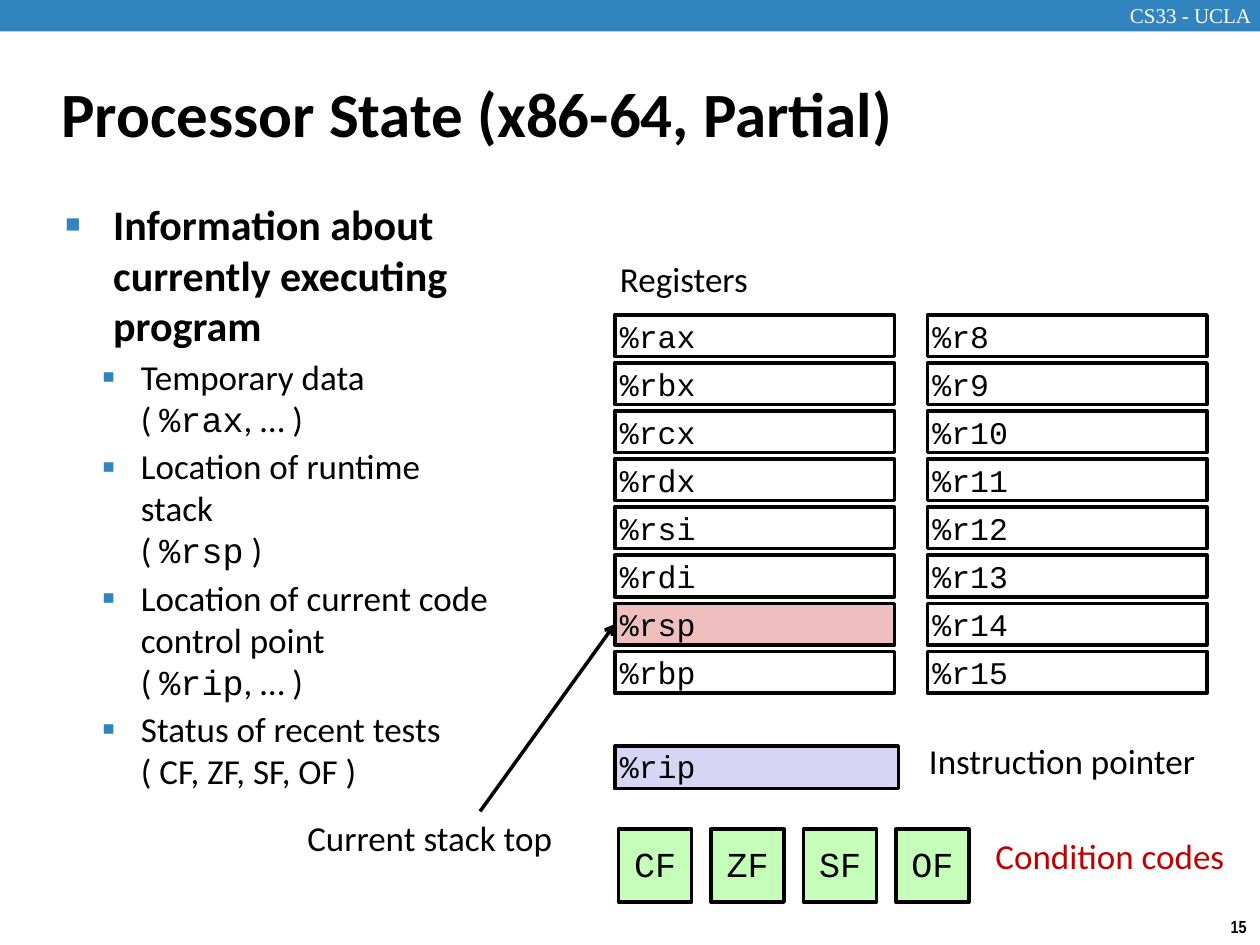
from dataclasses import dataclass

from lxml import etree
from pptx import Presentation
from pptx.dml.color import RGBColor
from pptx.enum.shapes import MSO_CONNECTOR, MSO_SHAPE
from pptx.enum.text import MSO_ANCHOR, PP_ALIGN
from pptx.oxml.ns import qn
from pptx.util import Inches, Pt

LEFT, CENTER = PP_ALIGN.LEFT, PP_ALIGN.CENTER
TOP, MIDDLE = MSO_ANCHOR.TOP, MSO_ANCHOR.MIDDLE
RECT, STRAIGHT = MSO_SHAPE.RECTANGLE, MSO_CONNECTOR.STRAIGHT

SANS, MONO = "Calibri", "Courier New"
COLORS = {
    "black": "000000", "white": "FFFFFF", "blue": "3284BF", "red": "C00000",
    "pink": "EFBFBF", "lilac": "D6D6F4", "green": "C5FEB8",
}
PAD = 0.04


@dataclass
class Label:
    text: str
    x: float
    y: float
    w: float
    h: float
    size: int = 20
    font: str = SANS
    color: str = "black"
    bold: bool = False
    align: PP_ALIGN = LEFT
    anchor: MSO_ANCHOR = TOP
    pad: tuple = (PAD, PAD)


@dataclass
class Cell:
    text: str
    x: float
    y: float
    w: float = 2.22
    h: float = 0.33
    fill: str = ""
    size: int = 18
    align: PP_ALIGN = LEFT
    space: float = 1.0


@dataclass
class Item:
    head: str
    bits: tuple  # (text, font) pairs on the line below the head


def rgb(name: str) -> RGBColor:
    return RGBColor.from_string(COLORS[name])


def set_pad(frame, across: float, down: float) -> None:
    frame.margin_left = frame.margin_right = Inches(across)
    frame.margin_top = frame.margin_bottom = Inches(down)


def set_font(para, size: int, font: str, color: str = "black", bold: bool = False) -> None:
    para.font.size = Pt(size)
    para.font.name = font
    para.font.bold = bold
    para.font.color.rgb = rgb(color)


def add_label(slide, label: Label) -> None:
    box = slide.shapes.add_textbox(
        Inches(label.x), Inches(label.y), Inches(label.w), Inches(label.h))
    frame = box.text_frame
    frame.word_wrap = False
    frame.vertical_anchor = label.anchor
    set_pad(frame, *label.pad)
    para = frame.paragraphs[0]
    para.text = label.text
    para.alignment = label.align
    set_font(para, label.size, label.font, label.color, label.bold)


def add_cell(slide, cell: Cell):
    box = slide.shapes.add_shape(
        RECT, Inches(cell.x), Inches(cell.y), Inches(cell.w), Inches(cell.h))
    box.shadow.inherit = False
    if cell.fill:
        box.fill.solid()
        box.fill.fore_color.rgb = rgb(cell.fill)
    else:
        box.fill.background()
    box.line.color.rgb = rgb("black")
    box.line.width = Pt(2)
    frame = box.text_frame
    frame.vertical_anchor = MIDDLE
    set_pad(frame, PAD, PAD)
    para = frame.paragraphs[0]
    para.text = cell.text
    para.alignment = cell.align
    para.line_spacing = cell.space
    set_font(para, cell.size, MONO)
    return box


def add_bullet(para, char: str, percent: int, left: float, hang: float) -> None:
    props = para._p.get_or_add_pPr()
    props.set("marL", str(Inches(left)))
    props.set("indent", str(-Inches(hang)))
    tint = etree.SubElement(props, qn("a:buClr"))
    etree.SubElement(tint, qn("a:srgbClr"), val=COLORS["blue"])
    etree.SubElement(props, qn("a:buSzPct"), val=str(percent * 1000))
    etree.SubElement(props, qn("a:buFont"), typeface="Arial")
    etree.SubElement(props, qn("a:buChar"), char=char)


def add_body(slide, head: str, items: list[Item]) -> None:
    box = slide.shapes.add_textbox(Inches(0.42), Inches(1.53), Inches(3.65), Inches(5.94))
    frame = box.text_frame
    frame.word_wrap = True
    para = frame.paragraphs[0]
    para.text = head
    add_bullet(para, "■", 60, 0.38, 0.38)
    set_font(para, 24, SANS, bold=True)
    for item in items:
        para = frame.add_paragraph()
        para.level = 1
        para.space_before = Pt(3)
        add_bullet(para, "▪", 110, 0.6, 0.31)
        set_font(para, 20, SANS)
        para.add_run().text = item.head
        para.add_line_break()
        for text, font in item.bits:
            run = para.add_run()
            run.text = text
            run.font.name = font


def add_arrow(slide, x: float, y: float, target) -> None:
    line = slide.shapes.add_connector(
        STRAIGHT, Inches(x), Inches(y), target.left, target.top + target.height // 2)
    line.end_connect(target, 1)
    line.line.color.rgb = rgb("black")
    line.line.width = Pt(2)
    props = line._element.spPr
    etree.SubElement(props.get_or_add_ln(), qn("a:tailEnd"), type="arrow")
    etree.SubElement(props, qn("a:effectLst"))


ITEMS = [
    Item("Temporary data", (("( ", SANS), ("%rax", MONO), (", … )", SANS))),
    Item("Location of runtime stack", (("( ", SANS), ("%rsp", MONO), (" )", SANS))),
    Item("Location of current code control point",
         (("( ", SANS), ("%rip", MONO), (", … )", SANS))),
    Item("Status of recent tests", (("( CF, ZF, SF, OF )", SANS),)),
]
LABELS = [
    Label("CS33 - UCLA", 8.83, -0.03, 1.24, 0.3, 12, "Times New Roman", "white",
          align=CENTER, pad=(0.1, 0.05)),
    Label("15", 9.66, 7.22, 0.34, 0.27, 10, "Arial Narrow", bold=True,
          align=CENTER, pad=(0.1, 0.05)),
    Label("Processor State (x86-64, Partial)", 0.39, 0.48, 8.3, 0.83, 36, bold=True,
          anchor=MIDDLE, pad=(0.1, 0.05)),
    Label("Registers", 4.88, 2, 1.12, 0.42),
    Label("Current stack top", 2.37, 6.44, 2.08, 0.42, align=CENTER),
    Label("Instruction pointer", 7.3, 5.83, 2.26, 0.42, align=CENTER),
    Label("Condition codes", 7.86, 6.58, 1.97, 0.49, color="red"),
]
BANKS = {
    4.88: ["%rax", "%rbx", "%rcx", "%rdx", "%rsi", "%rdi", "%rsp", "%rbp"],
    7.36: [f"%r{num}" for num in range(8, 16)],
}
FLAGS = ["CF", "ZF", "SF", "OF"]
ROW_GAP = 2.67 / 7
FLAG_GAP = 2.2 / 3


def main() -> None:
    deck = Presentation()
    deck.slide_width, deck.slide_height = Inches(10), Inches(7.5)
    slide = deck.slides.add_slide(deck.slide_layouts[6])

    # Top band
    band = slide.shapes.add_shape(RECT, 0, 0, deck.slide_width, Inches(0.25))
    band.shadow.inherit = False
    band.fill.solid()
    band.fill.fore_color.rgb = rgb("blue")
    band.line.fill.background()

    # Text
    for label in LABELS:
        add_label(slide, label)
    add_body(slide, "Information about currently executing program", ITEMS)

    # Registers
    boxes = {}
    for x, names in BANKS.items():
        for row, name in enumerate(names):
            fill = "pink" if name == "%rsp" else ""
            boxes[name] = add_cell(slide, Cell(name, x, 2.5 + row * ROW_GAP, fill=fill))

    # Instruction pointer and condition codes
    add_cell(slide, Cell("%rip", 4.88, 5.92, 2.25, 0.34, "lilac", space=0.95))
    for col, name in enumerate(FLAGS):
        add_cell(slide, Cell(name, 4.91 + col * FLAG_GAP, 6.58, 0.58, 0.58,
                             "green", 20, CENTER, 0.95))

    # Stack pointer arrow
    add_arrow(slide, 3.81, 6.44, boxes["%rsp"])
    deck.save("out.pptx")


if __name__ == "__main__":
    main()
